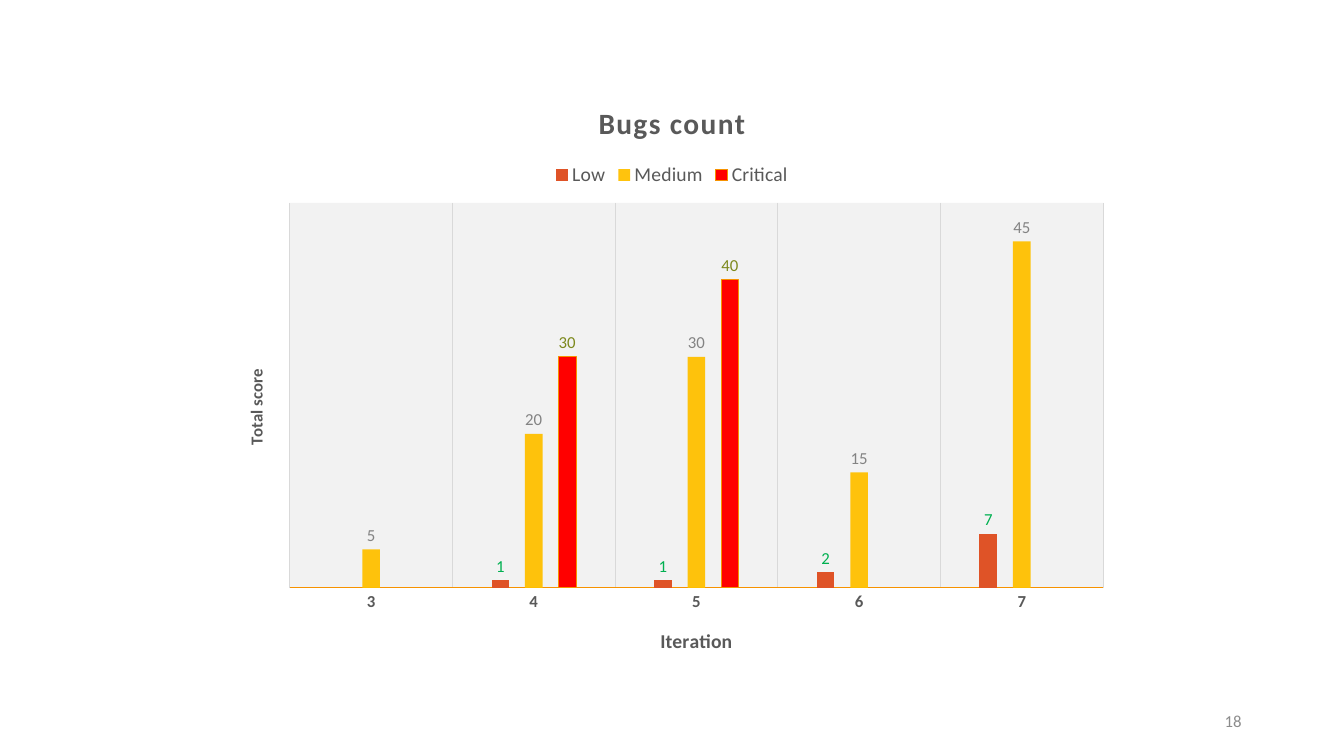
from dataclasses import dataclass
from typing import Any, Optional

from lxml import etree
from pptx import Presentation
from pptx import util as u
from pptx.chart import data as cd
from pptx.dml import color as col
from pptx.enum import chart as ch, text as tx
from pptx.oxml import ns

GREY = "595959"
GOLD = "F69200"
FACE = "Calibri"


@dataclass
class Bar:
    name: str
    vals: tuple
    fill: str
    ink: str
    edge: Optional[str] = None
    alpha: int = 100


@dataclass
class Box:
    x: float
    y: float
    w: float
    h: float

    def pts(self) -> list:
        return [u.Pt(n) for n in (self.x, self.y, self.w, self.h)]


CATS = ("3", "4", "5", "6", "7")
BARS = (
    Bar("Low", (None, 1, 1, 2, 7), "DF5327", "00B050"),
    Bar("Medium", (5, 20, 30, 15, 45), "FFC000", "838383", alpha=95),
    Bar("Critical", (None, 30, 40, None, None), "FF0000", "7D891D", GOLD),
)
FRAME = Box(160, 57, 640, 427)
PLOT = Box(47, 88, 581, 275)  # within the frame
PAGE = Box(678, 500.5, 216, 29)


def put(item: Any, **vals: Any) -> None:
    """Set each named value on an object."""
    for key, val in vals.items():
        setattr(item, key, val)


def tint(fmt: Any, hue: str) -> None:
    """Colour a fill or a font."""
    if hasattr(fmt, "solid"):
        fmt.solid()
        fmt = fmt.fore_color
    else:
        fmt = fmt.color
    fmt.rgb = col.RGBColor.from_string(hue)


def style(font: Any, size: float, hue: str = GREY, bold: bool = False) -> None:
    put(font, size=u.Pt(size), bold=bold, name=FACE)
    tint(font, hue)


def edge(line: Any, hue: str) -> None:
    tint(line.fill, hue)
    line.width = u.Pt(0.75)


def head(owner: Any, words: str, size: float) -> Any:
    """Give a chart or an axis a bold title."""
    owner.has_title = True
    title = owner.chart_title if hasattr(owner, "chart_title") else owner.axis_title
    para = title.text_frame.paragraphs[0]
    run = para.add_run()
    run.text = words
    style(run.font, size, bold=True)
    return title.text_frame


def node(up: Any, tag: str, **attrs: Any) -> Any:
    """Add a child element with string attributes."""
    kid = etree.SubElement(up, ns.qn(tag))
    for key, val in attrs.items():
        kid.set(key, str(val))
    return kid


def area(chart: Any, hue: str) -> None:
    """Place and fill the plot area."""
    plot = chart.plots[0]._element.getparent()
    for old in plot.findall(ns.qn("c:layout")):
        plot.remove(old)
    lay = etree.Element(ns.qn("c:layout"))
    plot.insert(0, lay)
    man = node(lay, "c:manualLayout")
    rules = {
        "layoutTarget": "inner", "xMode": "edge", "yMode": "edge",
        "x": PLOT.x / FRAME.w, "y": PLOT.y / FRAME.h,
        "w": PLOT.w / FRAME.w, "h": PLOT.h / FRAME.h,
    }
    for key, val in rules.items():
        node(man, f"c:{key}", val=val)
    fill = node(node(plot, "c:spPr"), "a:solidFill")
    node(fill, "a:srgbClr", val=hue)


def paint(ser: Any, bar: Bar) -> None:
    """Format one series and its labels."""
    tint(ser.format.fill, bar.fill)
    ser.invert_if_negative = False
    if bar.alpha < 100:
        hue = ser._element.find(".//" + ns.qn("a:srgbClr"))
        node(hue, "a:alpha", val=bar.alpha * 1000)
    if bar.edge:
        edge(ser.format.line, bar.edge)
    else:
        ser.format.line.fill.background()
    tags = ser.data_labels
    put(tags, show_value=True, position=ch.XL_LABEL_POSITION.OUTSIDE_END)
    style(tags.font, 12, bar.ink)


def graph(slide: Any) -> None:
    data = cd.CategoryChartData()
    data.categories = CATS
    for bar in BARS:
        data.add_series(bar.name, bar.vals)
    kind = ch.XL_CHART_TYPE.COLUMN_CLUSTERED
    chart = slide.shapes.add_chart(kind, *FRAME.pts(), data).chart
    style(chart.font, 10, "000000")

    # Title and legend
    run = head(chart, "Bugs count", 21).paragraphs[0].runs[0]
    run.font._element.set("spc", "100")
    chart.has_legend = True
    put(chart.legend, position=ch.XL_LEGEND_POSITION.TOP, include_in_layout=False)
    style(chart.legend.font, 14)

    # Columns
    plot = chart.plots[0]
    put(plot, gap_width=444, overlap=-90, vary_by_categories=False)
    for ser, bar in zip(plot.series, BARS):
        paint(ser, bar)
    area(chart, "F2F2F2")

    # Axes
    cat, val = chart.category_axis, chart.value_axis
    put(cat, has_major_gridlines=True, major_tick_mark=ch.XL_TICK_MARK.NONE)
    edge(cat.major_gridlines.format.line, "D9D9D9")
    edge(cat.format.line, GOLD)
    style(cat.tick_labels.font, 12, bold=True)
    head(cat, "Iteration", 14)
    put(val, has_major_gridlines=False, visible=False,
        minimum_scale=0, maximum_scale=50)
    body = head(val, "Total score", 12)._txBody.bodyPr
    body.set("rot", "-5400000")
    body.set("vert", "horz")


def number(slide: Any, words: str) -> None:
    frame = slide.shapes.add_textbox(*PAGE.pts()).text_frame
    put(frame, word_wrap=True, vertical_anchor=tx.MSO_ANCHOR.MIDDLE)
    para = frame.paragraphs[0]
    put(para, text=words, alignment=tx.PP_ALIGN.RIGHT)
    style(para.runs[0].font, 12, "8C8C8C")


def main() -> None:
    deck = Presentation()
    put(deck, slide_width=u.Pt(960), slide_height=u.Pt(540))
    slide = deck.slides.add_slide(deck.slide_layouts[6])
    graph(slide)
    number(slide, "18")
    deck.save("out.pptx")


if __name__ == "__main__":
    main()
